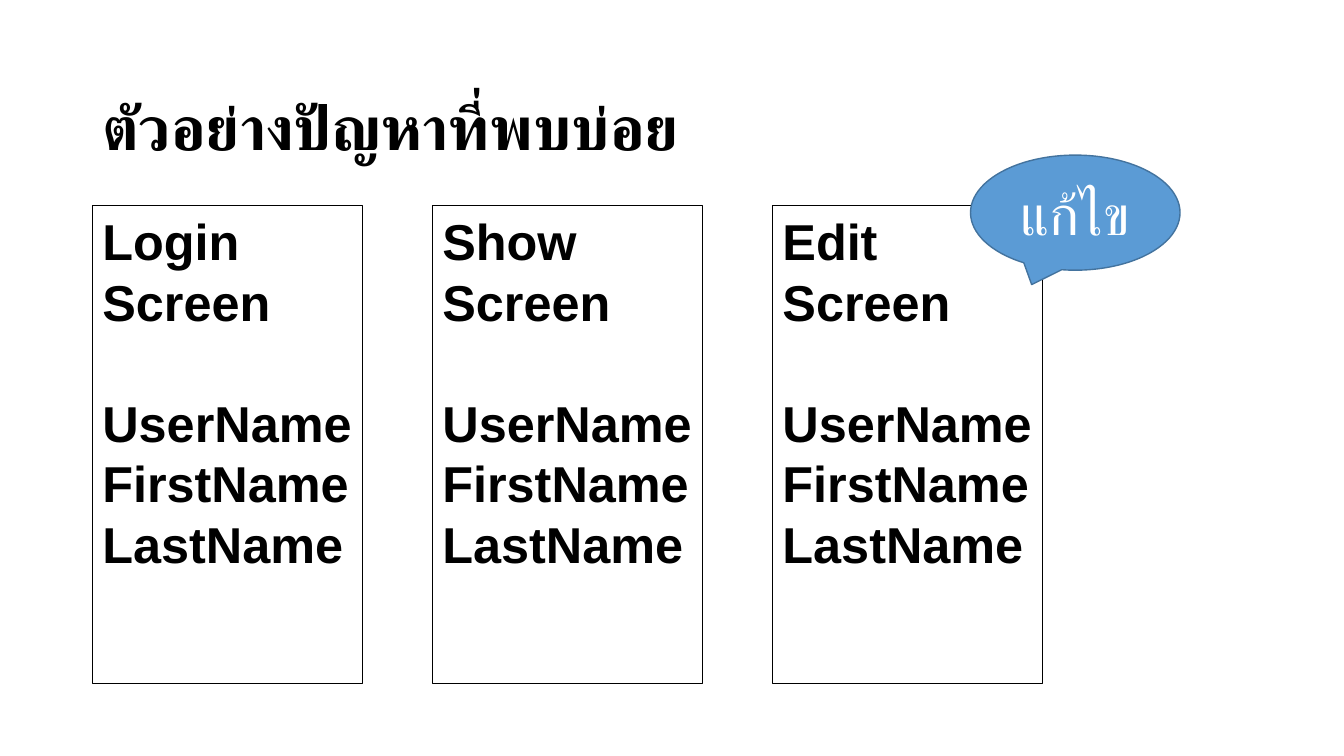
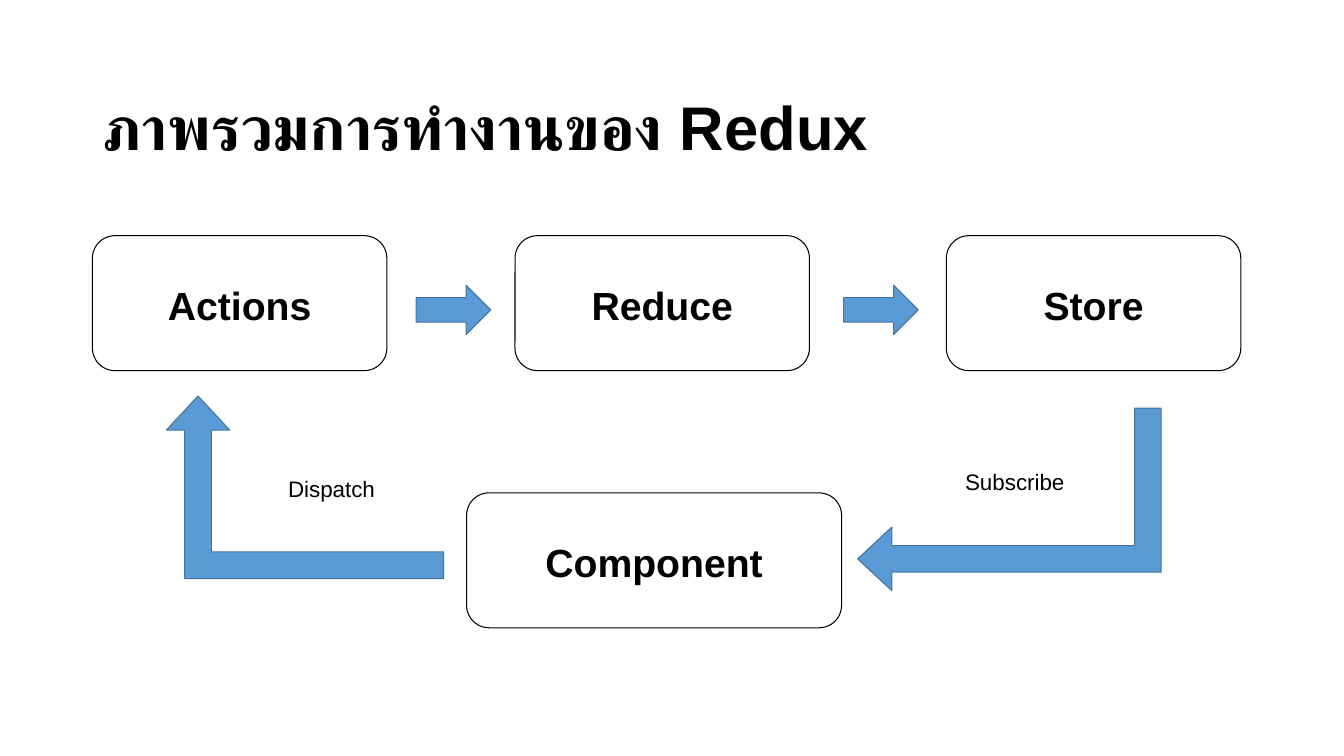
from pptx import Presentation
from pptx.dml.color import RGBColor
from pptx.enum.shapes import MSO_SHAPE as Preset
from pptx.enum.text import MSO_ANCHOR as Anchor, PP_ALIGN as Align
from pptx.util import Cm, Pt

BLACK, WHITE = "000000", "FFFFFF"
BLUE, BLUE_EDGE = "5B9BD5", "43739E"
LEFT_MARGIN = 2.33


def color(hex_code):
    """Return the colour for a hex string."""
    return RGBColor.from_string(hex_code)


def format_paragraph(paragraph, size, ink=BLACK, bold=False, font="Arial",
                     align=Align.LEFT, line_spacing=None, after=0):
    """Set the font and spacing of one paragraph."""
    paragraph.font.name = font
    paragraph.font.size = Pt(size)
    paragraph.font.bold = bold
    paragraph.font.color.rgb = color(ink)
    paragraph.alignment = align
    paragraph.line_spacing = line_spacing
    paragraph.space_after = Pt(after)


def add_titled_slide(prs, title_text):
    """Add a title-only slide with the shared title style."""
    slide = prs.slides.add_slide(prs.slide_layouts[5])
    title = slide.shapes.title
    title.left, title.top = Cm(LEFT_MARGIN), Cm(1.88)
    title.width, title.height = Cm(29.21), Cm(2.82)
    title.text_frame.text = title_text
    title.text_frame.vertical_anchor = Anchor.MIDDLE
    format_paragraph(title.text_frame.paragraphs[0], 44, bold=True, line_spacing=0.9)
    return slide


def add_preset(slide, preset, box, fill=WHITE, edge=BLACK, weight=0.75):
    """Add a flat preset shape; box is left, top, width, height in cm."""
    shape = slide.shapes.add_shape(preset, *map(Cm, box))
    shape.shadow.inherit = False
    shape.fill.solid()
    shape.fill.fore_color.rgb = color(fill)
    if edge:
        shape.line.color.rgb = color(edge)
        shape.line.width = Pt(weight)
    else:
        shape.line.fill.background()
    return shape


def add_screen(slide, left, heading):
    """Add an app screen with its heading and its fields."""
    screen = add_preset(slide, Preset.RECTANGLE, (left, 5.18, 6.81, 12.04), weight=1)
    frame = screen.text_frame
    frame.vertical_anchor = Anchor.TOP
    frame.text = "\n".join([heading, "UserName", "FirstName", "LastName"])
    for index, paragraph in enumerate(frame.paragraphs):
        format_paragraph(paragraph, 36, bold=True, after=0 if index else 43)


def add_callout(slide, box, text):
    """Add a blue speech bubble."""
    callout = add_preset(slide, Preset.OVAL_CALLOUT, box, BLUE, BLUE_EDGE, 1)
    callout.text_frame.text = text
    callout.text_frame.vertical_anchor = Anchor.MIDDLE
    format_paragraph(callout.text_frame.paragraphs[0], 40, WHITE,
                     font="Calibri", align=Align.CENTER)


def add_node(slide, text, left, top, width=7.42):
    """Add a rounded box for one part of the data flow."""
    node = add_preset(slide, Preset.ROUNDED_RECTANGLE, (left, top, width, 3.4))
    node.text_frame.text = text
    node.text_frame.vertical_anchor = Anchor.MIDDLE
    format_paragraph(node.text_frame.paragraphs[0], 28, bold=True,
                     align=Align.CENTER, line_spacing=1.07, after=8)


def add_bent_arrow(slide, box, rotation):
    """Add a vertically flipped bent arrow."""
    arrow = add_preset(slide, Preset.BENT_UP_ARROW, box, BLUE, BLUE_EDGE)
    for index, ratio in enumerate((0.146, 0.174, 0.187)):
        arrow.adjustments[index] = ratio
    arrow.rotation = rotation
    arrow.element.spPr.xfrm.set("flipV", "1")


def add_arrow_label(slide, text, left, top):
    """Add the caption of a bent arrow."""
    label = add_preset(slide, Preset.RECTANGLE, (left, top, 5.59, 1.9), edge=None)
    label.text_frame.text = text
    label.text_frame.vertical_anchor = Anchor.TOP
    format_paragraph(label.text_frame.paragraphs[0], 16, align=Align.CENTER,
                     line_spacing=1.07, after=8)


def build_problem_slide(prs):
    """Show the same fields repeated on three screens."""
    slide = add_titled_slide(prs, "ตัวอย่างปัญหาที่พบบ่อย")
    for column, heading in enumerate(("Login Screen", "Show Screen", "Edit Screen")):
        add_screen(slide, LEFT_MARGIN + column * 8.57, heading)
    add_callout(slide, (24.46, 3.91, 5.28, 2.9), "แก้ไข")


def build_redux_slide(prs):
    """Show the Redux cycle."""
    slide = add_titled_slide(prs, "ภาพรวมการทำงานของ Redux")
    for text, left in (("Actions", LEFT_MARGIN), ("Reduce", 12.98), ("Store", 23.85)):
        add_node(slide, text, left, 5.94)
    add_node(slide, "Component", 11.76, 12.42, width=9.45)
    for left in (10.49, 21.26):
        add_preset(slide, Preset.RIGHT_ARROW, (left, 7.19, 1.88, 1.24), BLUE, BLUE_EDGE)
    add_bent_arrow(slide, (23.14, 8.76, 4.6, 7.65), 90)
    add_bent_arrow(slide, (4.19, 9.98, 6.99, 4.6), 180)
    add_arrow_label(slide, "Dispatch", 5.56, 11.79)
    add_arrow_label(slide, "Subscribe", 22.78, 11.63)


def main():
    """Build and save the presentation."""
    prs = Presentation()
    prs.slide_width, prs.slide_height = Cm(33.87), Cm(19.05)
    build_problem_slide(prs)
    build_redux_slide(prs)
    prs.save("out.pptx")


if __name__ == "__main__":
    main()
